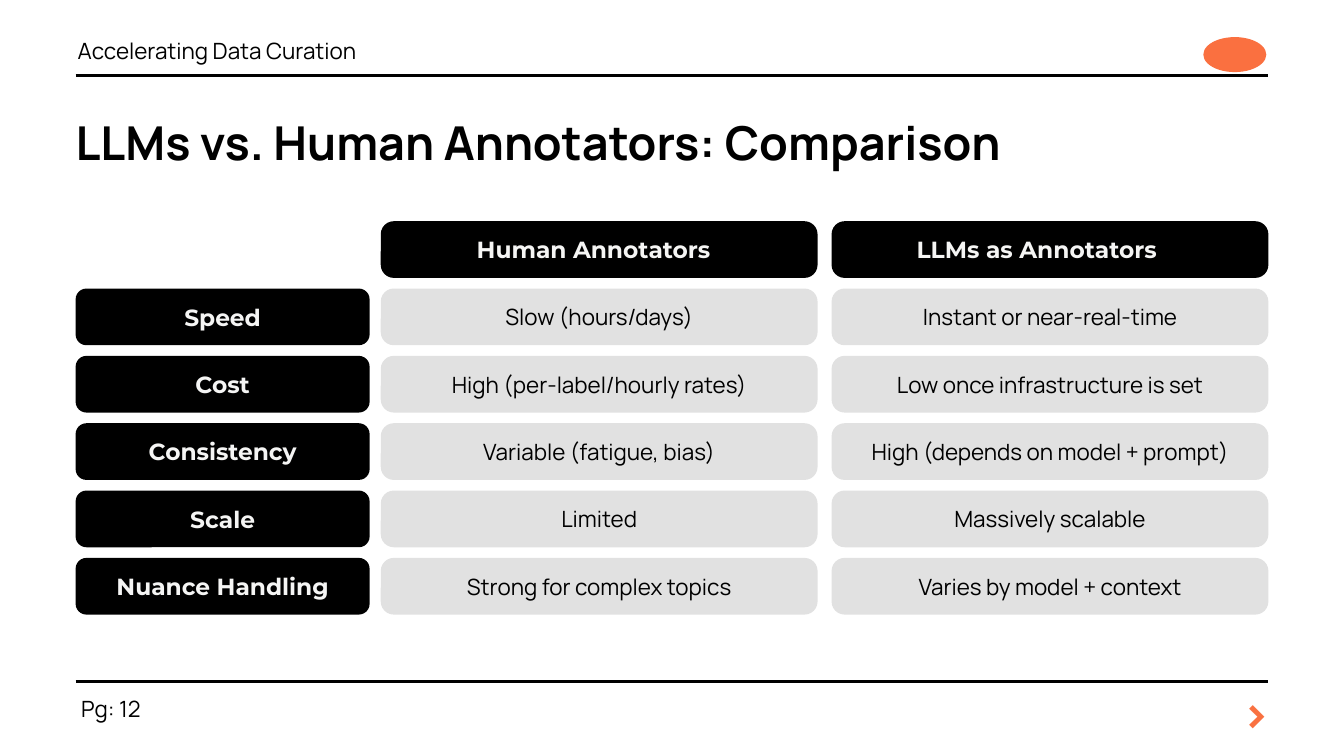
from lxml import etree
from pptx import Presentation
from pptx.dml.color import RGBColor
from pptx.enum.shapes import MSO_CONNECTOR, MSO_SHAPE
from pptx.enum.text import MSO_ANCHOR, MSO_AUTO_SIZE, PP_ALIGN
from pptx.oxml.ns import qn
from pptx.util import Pt

EMU_PER_PX = 9525
SLIDE_W, SLIDE_H = 1920, 1080
LEFT, RIGHT = 108, 1812

BLACK = RGBColor(0x00, 0x00, 0x00)
WHITE = RGBColor(0xFF, 0xFF, 0xFF)
OFF_WHITE = RGBColor(0xF5, 0xF5, 0xF4)
GREY = RGBColor(0xE1, 0xE1, 0xE1)
ORANGE = RGBColor(0xFA, 0x70, 0x40)
ARROW_ORANGE = RGBColor(0xF9, 0x71, 0x41)

ALIGN_LEFT, ALIGN_CENTER = PP_ALIGN.LEFT, PP_ALIGN.CENTER
TOP, MIDDLE = MSO_ANCHOR.TOP, MSO_ANCHOR.MIDDLE
ROUNDED, OVAL = MSO_SHAPE.ROUNDED_RECTANGLE, MSO_SHAPE.OVAL
STRAIGHT = MSO_CONNECTOR.STRAIGHT
NO_AUTOFIT = MSO_AUTO_SIZE.NONE

TITLE = {"name": "Manrope", "size": Pt(50), "bold": True}
BODY = {"name": "Manrope", "size": Pt(24), "bold": False}
HEADING = {"name": "Montserrat", "size": Pt(25), "bold": True}
ARROW = {"name": "Manrope", "size": Pt(52), "bold": True}

COLUMN_HEADS = ["Human Annotators", "LLMs as Annotators"]
HEAD_SHIFTS = [16, 38]
COMPARISON = [
    ("Speed", "Slow (hours/days)", "Instant or near-real-time"),
    ("Cost", "High (per-label/hourly rates)", "Low once infrastructure is set"),
    ("Consistency", "Variable (fatigue, bias)", "High (depends on model + prompt)"),
    ("Scale", "Limited", "Massively scalable"),
    ("Nuance Handling", "Strong for complex topics", "Varies by model + context"),
]


def px(*lengths):
    return [round(length * EMU_PER_PX) for length in lengths]


def write(shape, text, font, color, align=ALIGN_LEFT, anchor=TOP,
          spacing=None, inset_right=0):
    """Put one formatted paragraph into a shape, text box or placeholder."""
    frame = shape.text_frame
    frame_format = {
        "word_wrap": True, "auto_size": NO_AUTOFIT, "vertical_anchor": anchor,
        "margin_left": 0, "margin_top": 0, "margin_bottom": 0,
        "margin_right": px(inset_right)[0],
    }
    for attribute, value in frame_format.items():
        setattr(frame, attribute, value)
    frame.text = text
    paragraph = frame.paragraphs[0]
    paragraph.alignment = align
    if spacing:
        paragraph.line_spacing = Pt(spacing)
    for attribute, value in font.items():
        setattr(paragraph.runs[0].font, attribute, value)
    paragraph.runs[0].font.color.rgb = color


def add_filled(slide, preset, box, color):
    shape = slide.shapes.add_shape(preset, *px(*box))
    shape.shadow.inherit = False
    shape.fill.solid()
    shape.fill.fore_color.rgb = color
    shape.line.fill.background()
    return shape


def add_pill(slide, box, fill, roundness, text, font, color, **text_format):
    pill = add_filled(slide, ROUNDED, box, fill)
    pill.adjustments[0] = roundness
    write(pill, text, font, color, ALIGN_CENTER, MIDDLE, **text_format)


def add_rule(slide, y):
    rule = slide.shapes.add_connector(STRAIGHT, *px(LEFT, y, RIGHT, y))
    rule.line.color.rgb = BLACK
    rule.line.width = Pt(3)
    etree.SubElement(rule._element.spPr, qn("a:effectLst"))


def add_header(slide, left, top, width, height):
    """Running head, brand mark and the rule along the bottom of the box."""
    running_head = slide.shapes.add_textbox(*px(left + 3, top, width - 100, 42))
    write(running_head, "Accelerating Data Curation", BODY, BLACK, spacing=33.6)
    mark_w, mark_h = 90, 50
    mark_box = (left + width - mark_w - 3, top + 7, mark_w, mark_h)
    add_filled(slide, OVAL, mark_box, ORANGE)
    add_rule(slide, top + height)


def add_title(slide, *box):
    title = slide.shapes.title
    title.left, title.top, title.width, title.height = px(*box)
    write(title, "LLMs vs. Human Annotators: Comparison", TITLE, BLACK, spacing=70)


def add_comparison(slide, left, top, width, height):
    """Grid of pills: a label column, then one column per annotator type."""
    label_w, data_w, pill_h = 420, 624, 81
    pitch = (height - pill_h) / len(COMPARISON)
    data_lefts = [left + 436, left + width - data_w]

    for x, head, shift in zip(data_lefts, COLUMN_HEADS, HEAD_SHIFTS):
        add_pill(slide, (x, top, data_w, pill_h), BLACK, 0.23, head,
                 HEADING, OFF_WHITE, spacing=30, inset_right=shift)

    for row, (label, *ratings) in enumerate(COMPARISON, start=1):
        y = top + row * pitch
        add_pill(slide, (left, y, label_w, pill_h), BLACK, 0.19, label,
                 HEADING, OFF_WHITE, spacing=30)
        for x, rating in zip(data_lefts, ratings):
            add_pill(slide, (x, y, data_w, pill_h), GREY, 0.23, rating,
                     BODY, BLACK)


def add_footer(slide, left, top, width):
    """Rule along the top of the box, page number and next arrow."""
    add_rule(slide, top)
    page_number = slide.shapes.add_textbox(*px(left + 8, top + 13, 108, 42))
    write(page_number, "Pg: 12", BODY, BLACK, spacing=33.6)
    arrow_w = 40
    next_arrow = slide.shapes.add_textbox(
        *px(left + width - arrow_w, top - 11, arrow_w, 94))
    write(next_arrow, ">", ARROW, ARROW_ORANGE, ALIGN_CENTER, spacing=72.8)


def main():
    presentation = Presentation()
    presentation.slide_width, presentation.slide_height = px(SLIDE_W, SLIDE_H)
    slide = presentation.slides.add_slide(presentation.slide_layouts[5])
    slide.background.fill.solid()
    slide.background.fill.fore_color.rgb = WHITE

    content_w = RIGHT - LEFT
    add_header(slide, LEFT, 46, content_w, 62)
    add_title(slide, LEFT, 149, 1607, 87)
    add_comparison(slide, LEFT, 316, content_w, 562)
    add_footer(slide, LEFT, 974, content_w)
    presentation.save("out.pptx")


if __name__ == "__main__":
    main()
